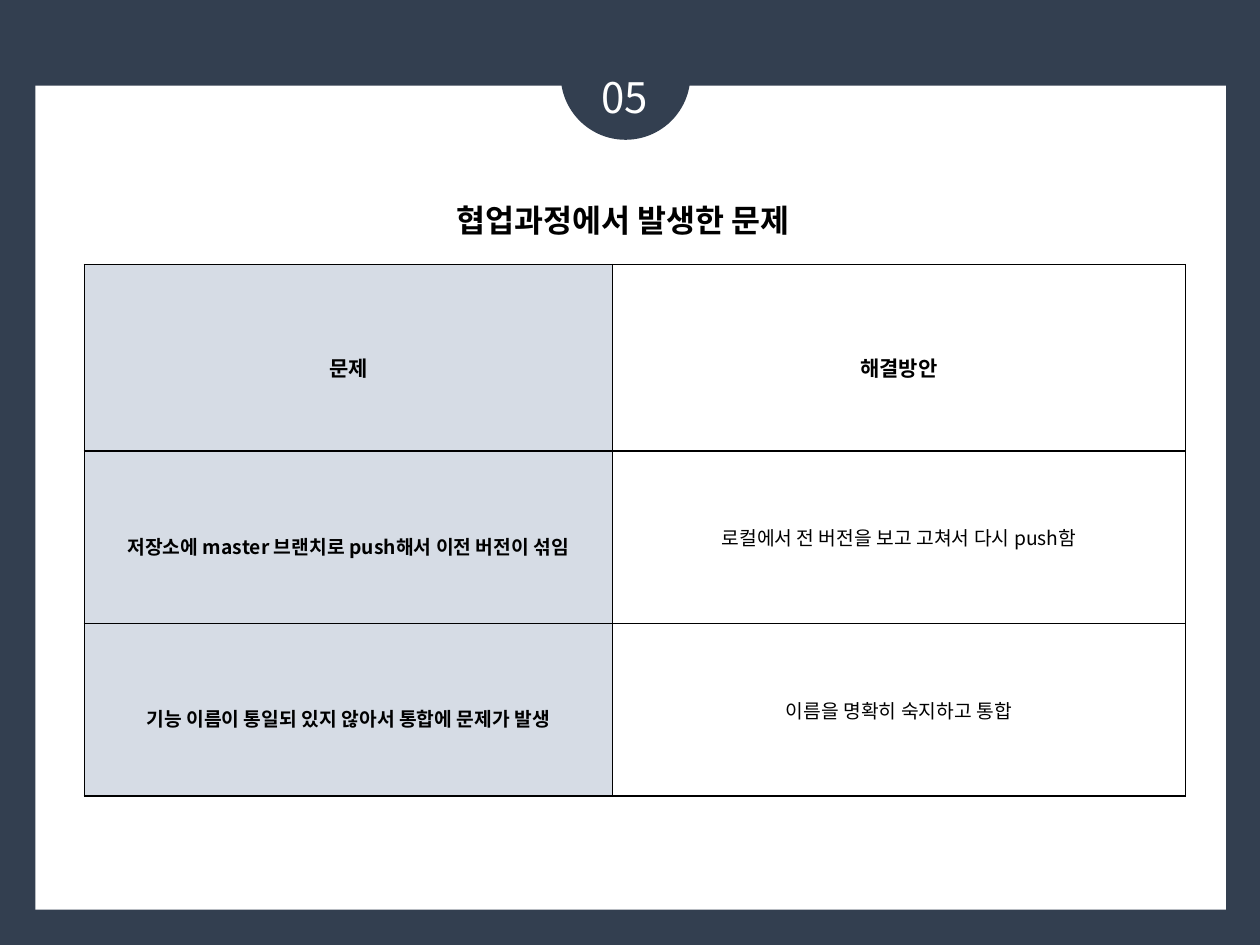
from lxml import etree
from pptx import Presentation
from pptx.dml.color import RGBColor
from pptx.enum import shapes, text
from pptx.oxml import ns
from pptx.util import Inches, Pt

NAVY = RGBColor(0x33, 0x3F, 0x50)
PALE = RGBColor(0xD6, 0xDC, 0xE5)
WHITE = RGBColor(255, 255, 255)
BLACK = RGBColor(0, 0, 0)
FONT = "Noto Sans CJK KR"

NUMBER = "05"
TITLE = "협업과정에서 발생한 문제"
ROWS = [
    ("문제", "해결방안"),
    ("저장소에 master 브랜치로 push해서 이전 버전이 섞임",
     "로컬에서 전 버전을 보고 고쳐서 다시 push함"),
    ("기능 이름이 통일되 있지 않아서 통합에 문제가 발생",
     "이름을 명확히 숙지하고 통합"),
]
WIDTHS = (4.19, 4.55)
HEIGHTS = (1.48, 1.37, 1.37)


def box(left, top, width, height):
    return [Inches(n) for n in (left, top, width, height)]


def write(frame, words, size, color=BLACK, bold=False, space=None):
    frame.text = words
    para = frame.paragraphs[0]
    para.alignment = text.PP_ALIGN.CENTER
    if space:
        para.line_spacing = space
    font = para.runs[0].font
    font.size, font.bold, font.name = Pt(size), bold, FONT
    font.color.rgb = color
    # East Asian letters take their font from a:ea, right after a:latin
    asian = etree.Element(ns.qn("a:ea"), typeface=FONT)
    font._element.find(ns.qn("a:latin")).addnext(asian)


def panel(kind, place, color):
    shape = slide.shapes.add_shape(kind, *box(*place))
    shape.shadow.inherit = False
    shape.fill.solid()
    shape.fill.fore_color.rgb = color
    shape.line.fill.background()


def label(place, words, size, wrap, **look):
    frame = slide.shapes.add_textbox(*box(*place)).text_frame
    frame.word_wrap = wrap
    frame.auto_size = text.MSO_AUTO_SIZE.SHAPE_TO_FIT_TEXT
    write(frame, words, size, **look)


def border(cell):
    props = cell._tc.get_or_add_tcPr()
    for i, side in enumerate(("lnL", "lnR", "lnT", "lnB")):
        line = etree.Element(ns.qn("a:" + side), w=str(Pt(1)))
        fill = etree.SubElement(line, ns.qn("a:solidFill"))
        etree.SubElement(fill, ns.qn("a:srgbClr"), val=str(BLACK))
        props.insert(i, line)


deck = Presentation()
deck.slide_width, deck.slide_height = Inches(10), Inches(7.5)
slide = deck.slides.add_slide(deck.slide_layouts[6])
slide.background.fill.solid()
slide.background.fill.fore_color.rgb = NAVY

panel(shapes.MSO_SHAPE.RECTANGLE, (0.28, 0.68, 9.45, 6.54), WHITE)
panel(shapes.MSO_SHAPE.OVAL, (4.45, 0.08, 1.03, 1.03), NAVY)
label((4.37, 0.52, 1.18, 0.51), NUMBER, 24, True, color=WHITE)
label((3.38, 1.55, 3.13, 0.4), TITLE, 18, False, bold=True)

place = box(0.67, 2.1, sum(WIDTHS), sum(HEIGHTS))
table = slide.shapes.add_table(len(ROWS), len(WIDTHS), *place).table
table.first_row = table.horz_banding = False
for col, width in zip(table.columns, WIDTHS):
    col.width = Inches(width)
for row, height in zip(table.rows, HEIGHTS):
    row.height = Inches(height)

for r, row in enumerate(ROWS):
    for c, words in enumerate(row):
        cell = table.cell(r, c)
        head = r == 0 or c == 0
        cell.margin_left = cell.margin_right = Inches(0.05)
        cell.margin_top = cell.margin_bottom = Inches(0.01)
        cell.vertical_anchor = text.MSO_ANCHOR.MIDDLE
        if c == 0:
            cell.fill.solid()
            cell.fill.fore_color.rgb = PALE
        else:
            cell.fill.background()
        border(cell)
        write(cell.text_frame, words, 12 if r == 0 else 11,
              bold=head, space=1.6 if head else None)

deck.save("out.pptx")
